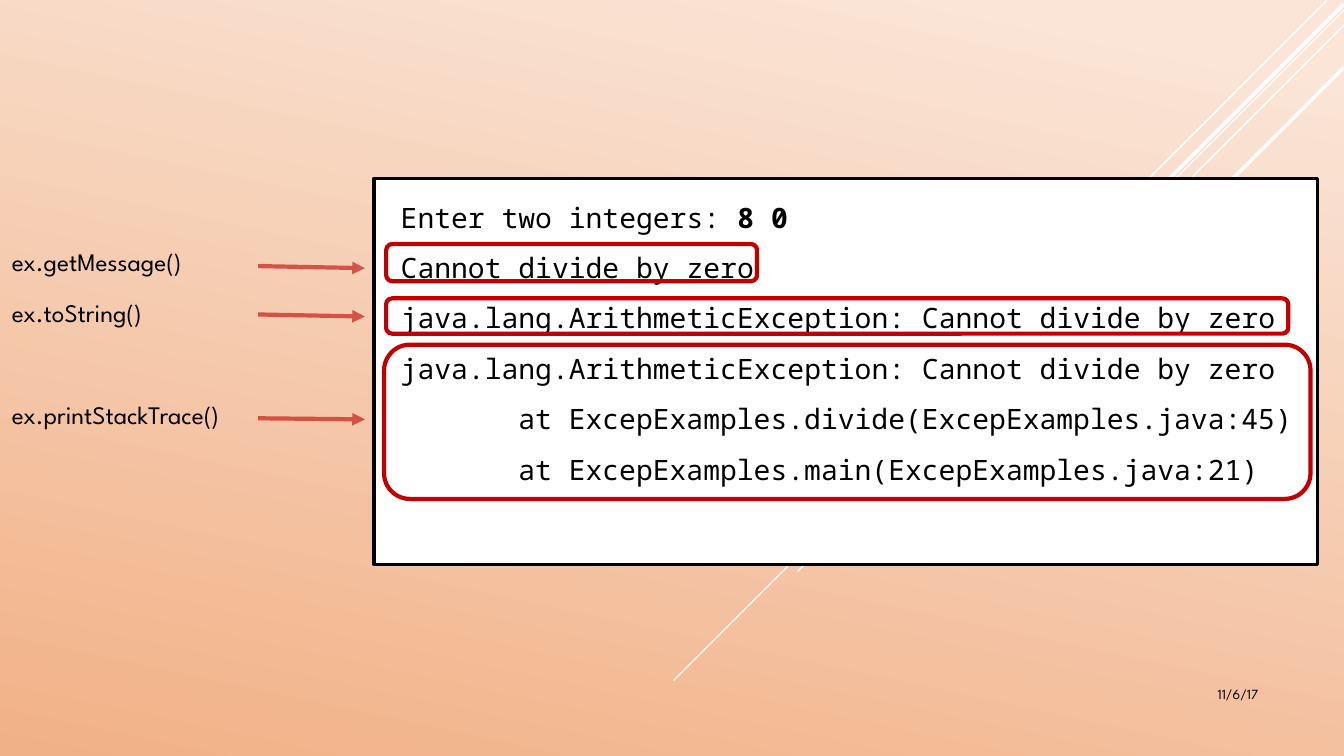
from lxml.etree import SubElement
from pptx import Presentation
from pptx.dml.color import RGBColor
from pptx.enum.shapes import MSO_CONNECTOR as CONN, MSO_SHAPE as SHAPE
from pptx.enum.text import MSO_ANCHOR as ANCHOR, PP_ALIGN as ALIGN
from pptx.oxml.ns import qn
from pptx.util import Inches, Pt

WIDTH, HEIGHT = Inches(13.333), Inches(7.5)
SANS, MONO = "League Spartan", "Noto Sans Mono"
BLACK, WHITE, RED = "000000", "FFFFFF", "C00000"
CHAR = Pt(12)

RAYS = [(98.7, 0.13, 31.2, 1), (100, 1.33, 49.88, 1), (100, 3.33, 40.65, 1),
        (100, 0.53, 39.83, 2.5), (100, 8.93, 35.63, 2.5)]
FRAMES = [(28.73, 32.27, 27.6, 4.93), (28.73, 39.47, 67.13, 4.67),
          (28.58, 45.6, 68.93, 20.4)]
CALLS = [("ex.getMessage()", 31.87, 35.2, 35.47),
         ("ex.toString()", 38.67, 41.6, 41.87),
         ("ex.printStackTrace()", 52.13, 55.33, 55.47)]
OUTPUT = [(1, "Enter two integers: ", "8 0"),
          (1, "Cannot divide by zero", ""),
          (1, "java.lang.ArithmeticException: Cannot divide by zero", ""),
          (1, "java.lang.ArithmeticException: Cannot divide by zero", ""),
          (8, "at ExcepExamples.divide(ExcepExamples.java:45)", ""),
          (8, "at ExcepExamples.main(ExcepExamples.java:21)", "")]


def rgb(value):
    """Turn a hex string into a colour."""
    return RGBColor.from_string(value)


def place(x, y):
    """Turn percentages of the slide's width and height into lengths."""
    return round(WIDTH * x / 100), round(HEIGHT * y / 100)


def set_font(p, name, size):
    """Give a paragraph its black font."""
    p.font.name, p.font.size = name, Pt(size)
    p.font.color.rgb = rgb(BLACK)


def set_background(s):
    """Fill the slide with a slanted peach gradient."""
    fill = s.background.fill
    fill.gradient()
    fill.gradient_angle = 258
    for stop, (pos, color) in zip(fill.gradient_stops,
                                  [(0.07, "FAE5D7"), (1, "F1B187")]):
        stop.position = pos
        stop.color.rgb = rgb(color)


def add_line(s, start, end, color, width):
    """Draw a straight line without a shadow."""
    c = s.shapes.add_connector(CONN.STRAIGHT, *place(*start), *place(*end))
    c.line.color.rgb = rgb(color)
    c.line.width = Pt(width)
    SubElement(c._element.spPr, qn("a:effectLst"))
    return c


def add_arrow(s, start, end):
    """Draw a translucent red arrow."""
    ln = add_line(s, start, end, RED, 3).line._get_or_add_ln()
    SubElement(ln.find(".//" + qn("a:srgbClr")), qn("a:alpha"), val="60000")
    SubElement(ln, qn("a:tailEnd"), type="triangle")


def add_text(s, box, text, size, align=ALIGN.LEFT):
    """Add a one-line text box."""
    x, y, w, h = box
    tf = s.shapes.add_textbox(*place(x, y), *place(w, h)).text_frame
    tf.word_wrap = True
    p = tf.paragraphs[0]
    p.text, p.alignment = text, align
    set_font(p, SANS, size)


def add_box(s, kind, box, color, width, fill=None):
    """Add an outlined shape, filled only if a fill is given."""
    x, y, w, h = box
    sp = s.shapes.add_shape(kind, *place(x, y), *place(w, h))
    sp.shadow.inherit = False
    sp.line.color.rgb, sp.line.width = rgb(color), Pt(width)
    if fill:
        sp.fill.solid()
        sp.fill.fore_color.rgb = rgb(fill)
    else:
        sp.fill.background()
    return sp


def add_console(s, box, lines):
    """Add the console panel, indenting each line by whole characters."""
    tf = add_box(s, SHAPE.RECTANGLE, box, BLACK, 2.25, WHITE).text_frame
    tf.word_wrap, tf.vertical_anchor = True, ANCHOR.TOP
    for i, (indent, text, typed) in enumerate(lines):
        p = tf.add_paragraph() if i else tf.paragraphs[0]
        p.alignment, p.line_spacing = ALIGN.LEFT, 1.5
        p._p.get_or_add_pPr().set("marL", str(indent * CHAR))
        set_font(p, MONO, 20)
        p.add_run().text = text
        if typed:
            r = p.add_run()
            r.text, r.font.bold = typed, True


def main():
    """Build and save the slide."""
    prs = Presentation()
    prs.slide_width, prs.slide_height = WIDTH, HEIGHT
    s = prs.slides.add_slide(prs.slide_layouts[6])
    set_background(s)
    for x, y, run, width in RAYS:
        add_line(s, (x, y), (x - run, y + run * WIDTH / HEIGHT), WHITE, width)
    add_text(s, (81.23, 90, 13.13, 5.33), "11/6/17", 10, ALIGN.RIGHT)
    add_console(s, (27.83, 23.6, 70.2, 51.07), OUTPUT)
    for frame in FRAMES:
        add_box(s, SHAPE.ROUNDED_RECTANGLE, frame, RED, 3)
    for text, top, tail, head in CALLS:
        add_arrow(s, (19.2, tail), (27.15, head))
        add_text(s, (0.15, top, 20.7, 5.33), text, 18)
    prs.save("out.pptx")


main()
